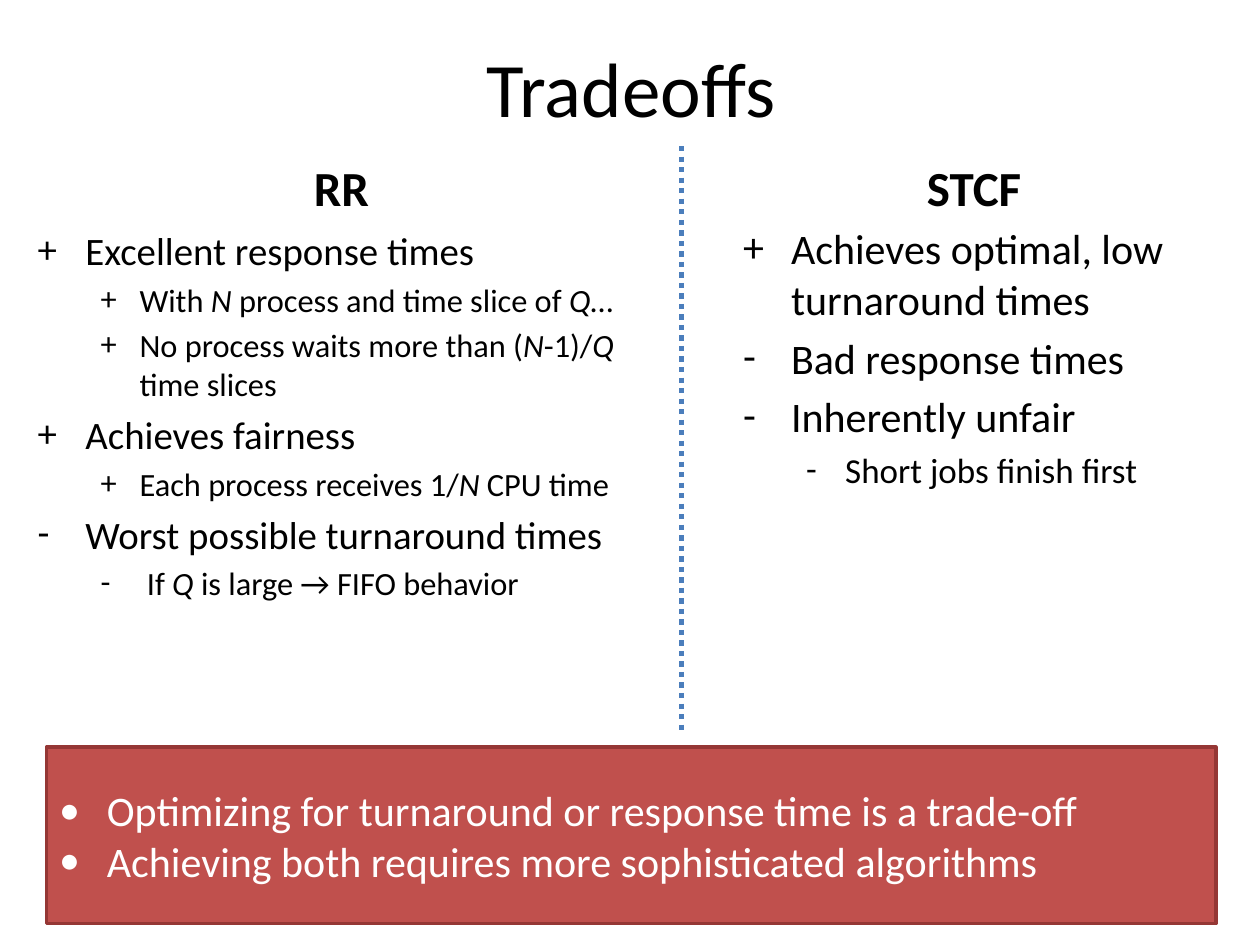
from dataclasses import dataclass

from lxml.etree import SubElement
from pptx import Presentation
from pptx.dml.color import RGBColor
from pptx.enum.dml import MSO_LINE
from pptx.enum.shapes import MSO_CONNECTOR, MSO_SHAPE
from pptx.enum.text import MSO_ANCHOR, PP_ALIGN
from pptx.oxml.ns import qn
from pptx.slide import Slide
from pptx.text.text import TextFrame
from pptx.util import Inches, Pt

BLACK = RGBColor(0x00, 0x00, 0x00)
WHITE = RGBColor(0xFF, 0xFF, 0xFF)
BLUE = RGBColor(0x4B, 0x7E, 0xBC)
RED = RGBColor(0xC0, 0x50, 0x4D)
DARK_RED = RGBColor(0x95, 0x37, 0x35)
FONT = "Calibri"
INDENTS = ((0.38, -0.38), (0.81, -0.31))


@dataclass(frozen=True)
class Box:
    left: float
    top: float
    width: float
    height: float

    def emu(self) -> tuple:
        return tuple(Inches(v) for v in (self.left, self.top, self.width, self.height))


@dataclass(frozen=True)
class Item:
    bullet: str
    text: str
    level: int = 0


@dataclass(frozen=True)
class Column:
    heading: str
    heading_box: Box
    body_box: Box
    sizes: tuple[float, float]
    items: tuple[Item, ...]


COLUMNS = (
    Column("RR", Box(0.5, 1.07, 4.42, 0.7), Box(0.2, 1.75, 4.94, 4.04), (22.2, 18.5), (
        Item("+", "Excellent response times"),
        Item("+", "With *N* process and time slice of *Q*…", 1),
        Item("+", "No process waits more than (*N*-1)/*Q *time slices", 1),
        Item("+", "Achieves fairness"),
        Item("+", "Each process receives 1/*N* CPU time", 1),
        Item("-", "Worst possible turnaround times"),
        Item("-", " If *Q* is large → FIFO behavior", 1),
    )),
    Column("STCF", Box(5.52, 1.07, 4.42, 0.7), Box(5.8, 1.72, 3.96, 4.2), (24, 20), (
        Item("+", "Achieves optimal, low turnaround times"),
        Item("-", "Bad response times"),
        Item("-", "Inherently unfair"),
        Item("-", "Short jobs finish first", 1),
    )),
)
SUMMARY = (
    Item("•", "Optimizing for turnaround or response time is a trade-off"),
    Item("•", "Achieving both requires more sophisticated algorithms"),
)


def add_run(p, text: str, size: float, color: RGBColor,
            bold: bool = False, italic: bool = False) -> None:
    r = p.add_run()
    r.text = text
    r.font.name = FONT
    r.font.size = Pt(size)
    r.font.bold = bold
    r.font.italic = italic
    r.font.color.rgb = color


def add_items(tf: TextFrame, items: tuple[Item, ...], sizes: tuple[float, ...],
              color: RGBColor, gap: float = 0) -> None:
    for i, item in enumerate(items):
        p = tf.add_paragraph() if i else tf.paragraphs[0]
        size = sizes[item.level]
        p.level = item.level
        p.alignment = PP_ALIGN.LEFT
        p.space_before = Pt(round(gap * size, 1))
        margin, indent = INDENTS[item.level]
        pPr = p._p.get_or_add_pPr()
        pPr.set("marL", str(Inches(margin)))
        pPr.set("indent", str(Inches(indent)))
        SubElement(pPr, qn("a:buFont")).set("typeface", FONT)
        SubElement(pPr, qn("a:buChar")).set("char", item.bullet)
        for n, part in enumerate(item.text.split("*")):
            if part:
                add_run(p, part, size, color, italic=n % 2 == 1)


def add_text_box(s: Slide, box: Box, anchor: MSO_ANCHOR) -> TextFrame:
    tf = s.shapes.add_textbox(*box.emu()).text_frame
    tf.word_wrap = True
    tf.vertical_anchor = anchor
    return tf


def add_title(s: Slide, text: str, box: Box) -> None:
    sp = s.shapes.title
    sp.left, sp.top, sp.width, sp.height = box.emu()
    tf = sp.text_frame
    tf.vertical_anchor = MSO_ANCHOR.MIDDLE
    p = tf.paragraphs[0]
    p.alignment = PP_ALIGN.CENTER
    add_run(p, text, 44, BLACK)


def add_column(s: Slide, col: Column) -> None:
    p = add_text_box(s, col.heading_box, MSO_ANCHOR.BOTTOM).paragraphs[0]
    p.alignment = PP_ALIGN.CENTER
    add_run(p, col.heading, 28, BLACK, bold=True)
    tf = add_text_box(s, col.body_box, MSO_ANCHOR.TOP)
    add_items(tf, col.items, col.sizes, BLACK, gap=0.2)


def add_divider(s: Slide, x: float, top: float, bottom: float) -> None:
    cxn = s.shapes.add_connector(
        MSO_CONNECTOR.STRAIGHT, Inches(x), Inches(top), Inches(x), Inches(bottom))
    cxn.line.color.rgb = BLUE
    cxn.line.width = Pt(3)
    cxn.line.dash_style = MSO_LINE.ROUND_DOT
    SubElement(cxn._element.spPr, qn("a:effectLst"))


def add_summary(s: Slide, box: Box) -> None:
    sp = s.shapes.add_shape(MSO_SHAPE.RECTANGLE, *box.emu())
    sp.shadow.inherit = False
    sp.fill.solid()
    sp.fill.fore_color.rgb = RED
    sp.line.color.rgb = DARK_RED
    sp.line.width = Pt(2)
    tf = sp.text_frame
    tf.word_wrap = True
    tf.vertical_anchor = MSO_ANCHOR.MIDDLE
    add_items(tf, SUMMARY, (24,), WHITE)


def main() -> None:
    prs = Presentation()
    prs.slide_width, prs.slide_height = Inches(10), Inches(7.5)
    s = prs.slides.add_slide(prs.slide_layouts[5])
    add_title(s, "Tradeoffs", Box(0.51, 0.06, 9, 1.25))
    for col in COLUMNS:
        add_column(s, col)
    add_divider(s, 5.41, 1.16, 5.79)
    add_summary(s, Box(0.37, 5.93, 9.28, 1.4))
    prs.save("out.pptx")


if __name__ == "__main__":
    main()
